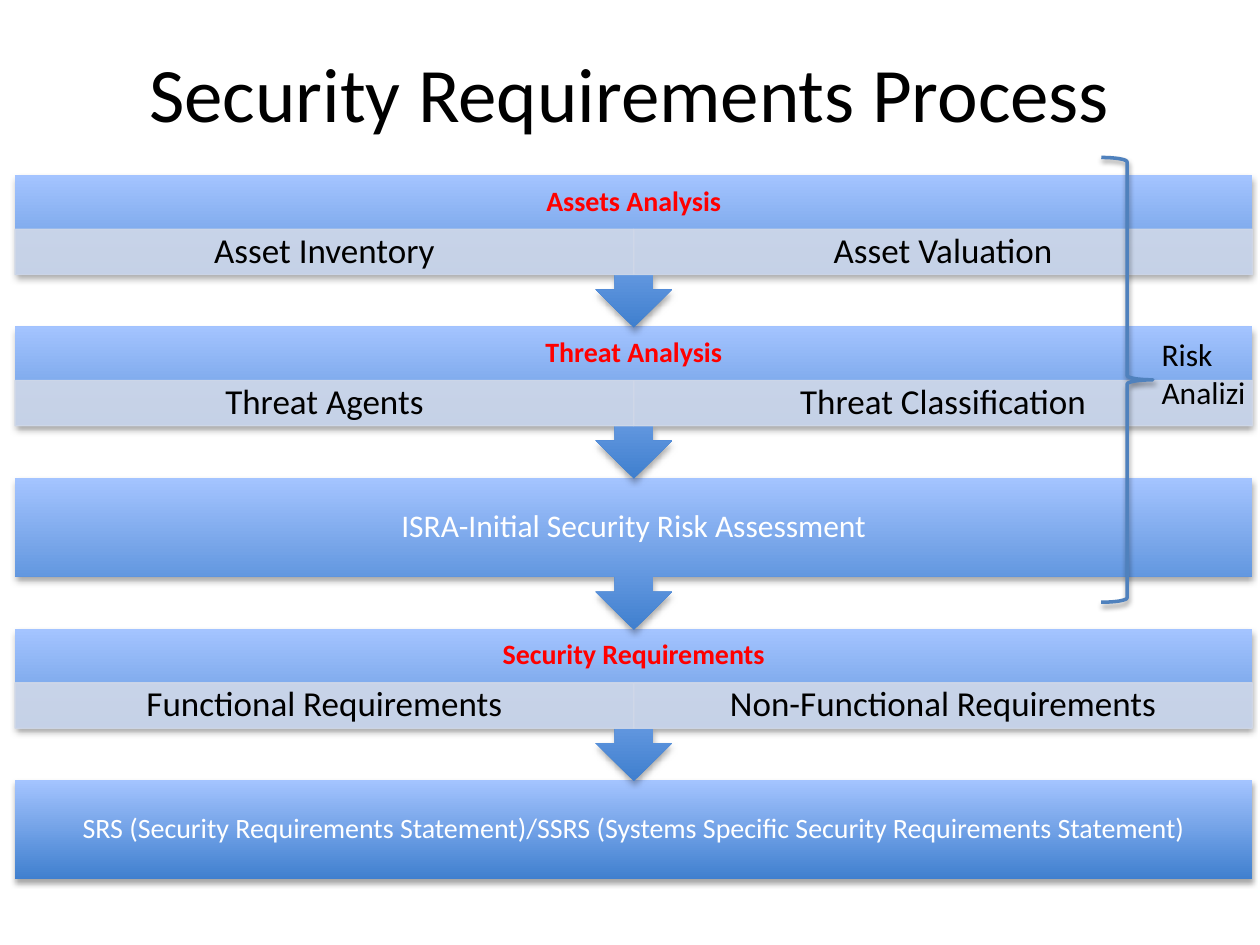
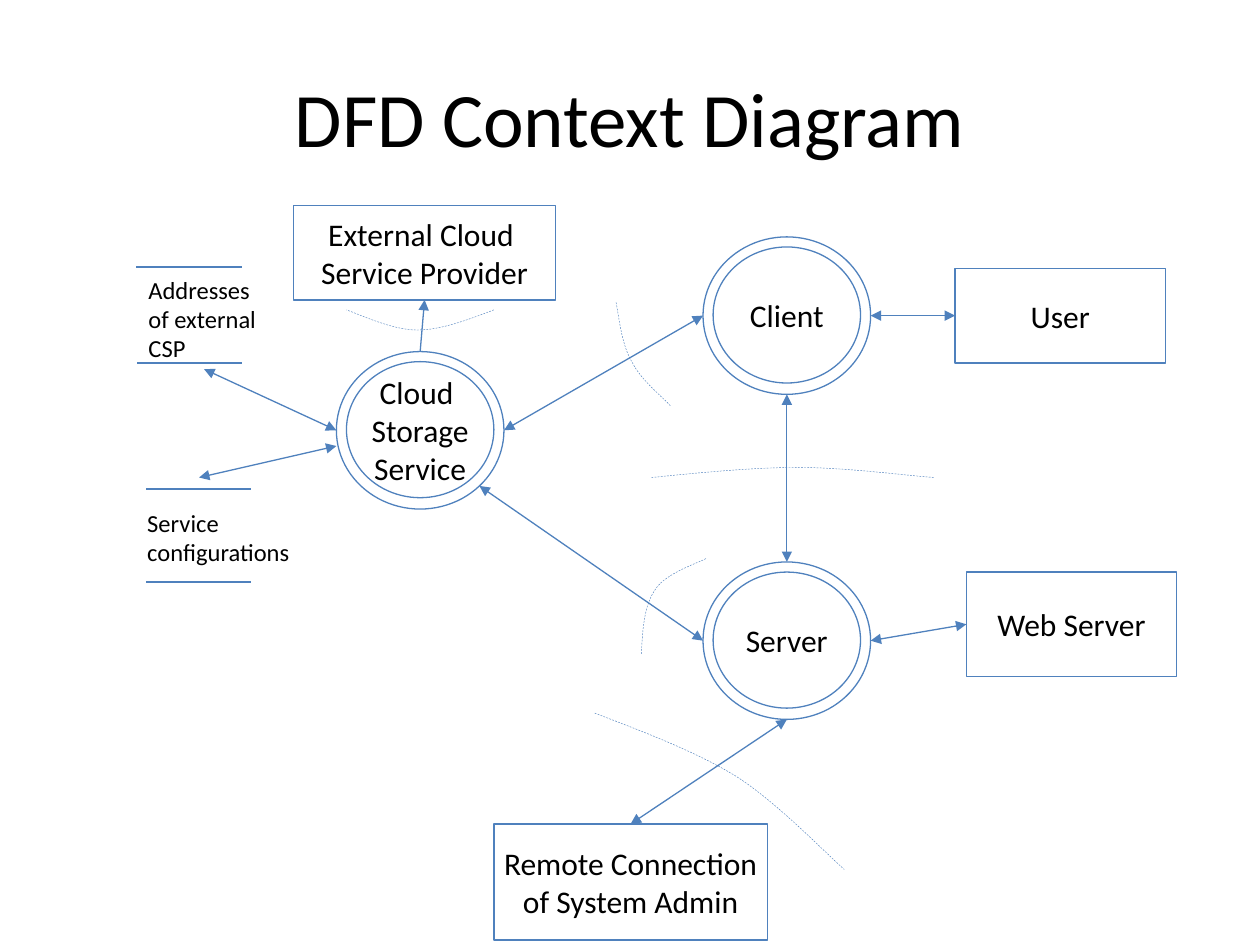
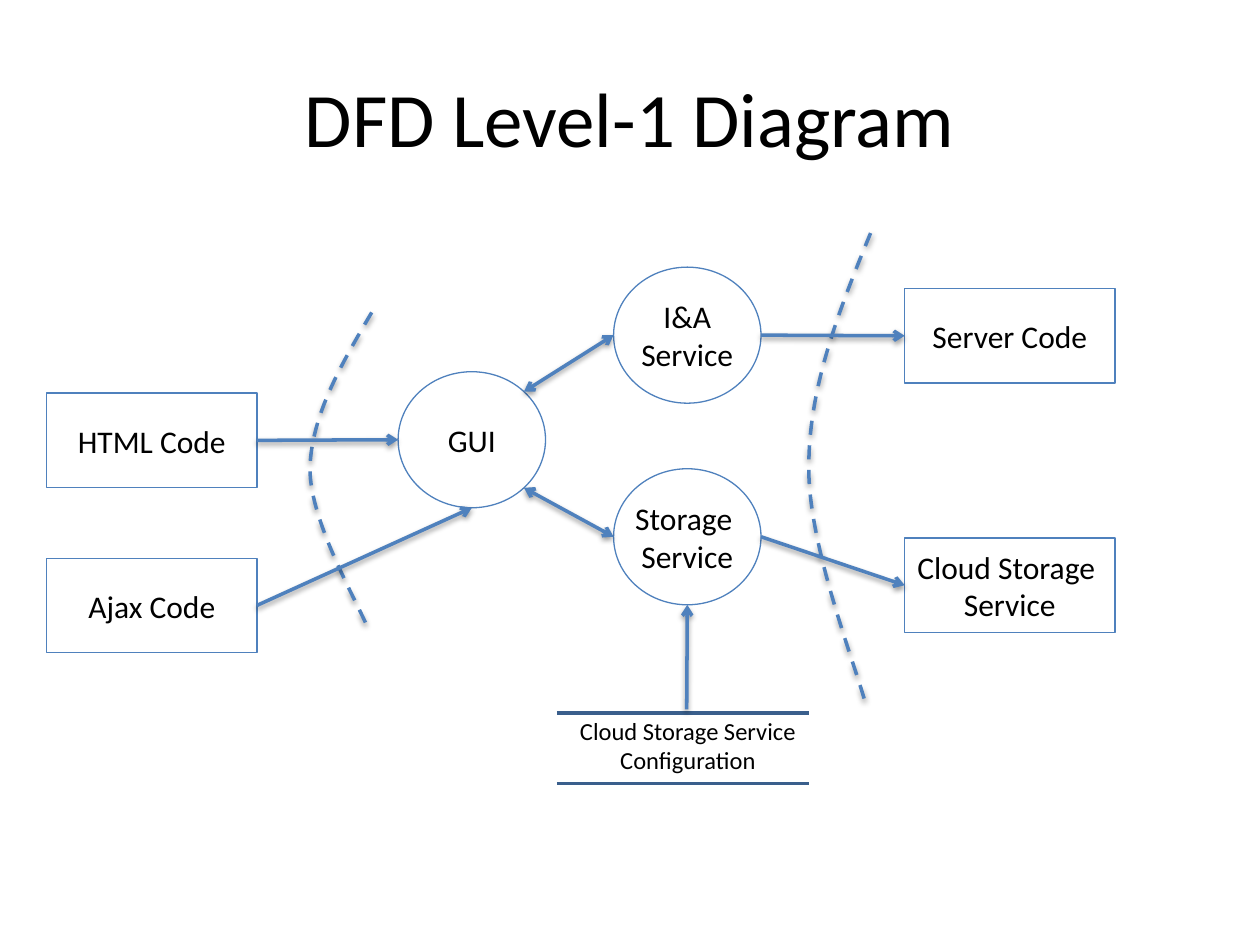
from dataclasses import dataclass
from math import cos, radians, sin

from lxml.etree import SubElement
from pptx import Presentation
from pptx.dml.color import RGBColor
from pptx.enum.dml import MSO_LINE
from pptx.enum.shapes import MSO_CONNECTOR, MSO_SHAPE as Kind
from pptx.enum.text import MSO_ANCHOR as Anchor, MSO_AUTO_SIZE as AutoSize, PP_ALIGN as Align
from pptx.oxml.ns import qn
from pptx.util import Emu, Pt

EMU_PER_PX = 9144  # 100 px to the inch
TOP, LEFT, BOTTOM, RIGHT = range(4)


def px(length):
    return Emu(round(length * EMU_PER_PX))


@dataclass(frozen=True)
class Shadow:
    alpha: int
    distance: float
    blur: float = 3.1


@dataclass(frozen=True)
class Stroke:
    color: str
    width: float
    dashed: bool = False
    shadow: Shadow | None = None
    arrow: str = "triangle"


@dataclass(frozen=True)
class Port:
    """The middle of one side of a rectangle."""
    shape: object
    side: int


@dataclass(frozen=True)
class Theme:
    font: str = "Calibri"
    black: str = "000000"
    white: str = "FFFFFF"
    red: str = "FF0000"
    blue: str = "4F81BD"
    navy: str = "3A5F8C"
    pale: str = "D0D8E8"
    gradient: tuple = ("3F7FCE", "A4C4FF")
    title_size: int = 44
    detail_size: int = 20
    body_size: int = 18
    small_size: int = 16
    store_size: int = 14


THEME = Theme()
SOFT = Shadow(38, 1.6)
BAND_SHADOW = Shadow(35, 1.8)
THIN = Stroke(THEME.blue, 0.75)
WHITE_EDGE = Stroke(THEME.white, 0.75)
PALE_EDGE = Stroke(THEME.pale, 0.75)
THIN_DASH = Stroke(THEME.blue, 0.25, dashed=True)
BOLD = Stroke(THEME.blue, 2, shadow=SOFT, arrow="arrow")
BOLD_DASH = Stroke(THEME.blue, 2, dashed=True, shadow=SOFT)
STORE_BAR = Stroke(THEME.navy, 2)


def write(shape, text, *, size=THEME.body_size, color=THEME.black, bold=False,
          align=Align.CENTER, anchor=Anchor.MIDDLE, wrap=False, grow=False,
          insets=(10, 5), spacing=None):
    """Fill a shape with text: \\n starts a paragraph, \\v breaks a line."""
    frame = shape.text_frame
    frame.word_wrap = wrap
    frame.vertical_anchor = anchor
    frame.auto_size = AutoSize.SHAPE_TO_FIT_TEXT if grow else AutoSize.NONE
    frame.margin_left = frame.margin_right = px(insets[0])
    frame.margin_top = frame.margin_bottom = px(insets[1])
    frame.text = text
    for para in frame.paragraphs:
        para.alignment = align
        if spacing:
            para.line_spacing = spacing
        for span in para.runs:
            font = span.font
            font.name, font.size, font.bold = THEME.font, Pt(size), bold
            font.color.rgb = RGBColor.from_string(color)
        for line_break in para._p.findall(qn("a:br")):
            SubElement(line_break, qn("a:rPr"), sz=str(size * 100))


def rim(oval, degrees):
    """Point on an oval, clockwise from its right end, in px."""
    turn = radians(degrees)
    x = oval.left + oval.width / 2 * (1 + cos(turn))
    y = oval.top + oval.height / 2 * (1 + sin(turn))
    return x / EMU_PER_PX, y / EMU_PER_PX


def bend(curve):
    """Turn each three line segments of a freeform into one Bézier curve."""
    segments = list(curve._element.spPr.iter(qn("a:lnTo")))
    outline = segments[0].getparent()
    for first in range(0, len(segments), 3):
        cubic = SubElement(outline, qn("a:cubicBezTo"))
        for segment in segments[first:first + 3]:
            cubic.append(segment[0])
            outline.remove(segment)


class Painter:
    def __init__(self, deck):
        self.deck = deck
        self.page = None

    def new_page(self, title, top=30):
        self.page = self.deck.slides.add_slide(self.deck.slide_layouts[6])
        self.text((50, top, 900, 125), title, size=THEME.title_size, wrap=True)

    def text(self, box, text, **style):
        label = self.page.shapes.add_textbox(*map(px, box))
        write(label, text, **style)

    def effects(self, shape, shadow):
        holder = SubElement(shape._element.spPr, qn("a:effectLst"))
        if shadow:
            outer = SubElement(holder, qn("a:outerShdw"), blurRad=str(Pt(shadow.blur)),
                               dist=str(Pt(shadow.distance)), dir="5400000", rotWithShape="0")
            color = SubElement(outer, qn("a:srgbClr"), val=THEME.black)
            SubElement(color, qn("a:alpha"), val=str(shadow.alpha * 1000))

    def outline(self, shape, stroke):
        shape.line.color.rgb = RGBColor.from_string(stroke.color)
        shape.line.width = Pt(stroke.width)
        if stroke.dashed:
            shape.line.dash_style = MSO_LINE.DASH

    def shape(self, kind, box, stroke=THIN, text=None, **style):
        shape = self.page.shapes.add_shape(kind, *map(px, box))
        shape.fill.background()
        self.outline(shape, stroke)
        self.effects(shape, stroke.shadow)
        if text:
            write(shape, text, **style)
        return shape

    def process(self, box, text):
        return self.shape(Kind.FLOWCHART_PROCESS, box, text=text)

    def circle(self, left, top, text):
        return self.shape(Kind.FLOWCHART_CONNECTOR, (left, top, 117, 108), text=text)

    def ring(self, left, top, text):
        outer = self.shape(Kind.FLOWCHART_CONNECTOR, (left, top, 133, 125))
        self.circle(left + 8, top + 8, text)
        return outer

    def band(self, kind, box, rotation=0):
        band = self.page.shapes.add_shape(kind, *map(px, box))
        band.rotation = rotation
        band.fill.gradient()
        # Dark at the foot of the band, however the shape is turned
        band.fill.gradient_angle = 90 + rotation
        for stop, color, position in zip(band.fill.gradient_stops, THEME.gradient, (0, 1)):
            stop.color.rgb = RGBColor.from_string(color)
            stop.position = position
        band.line.fill.background()
        self.effects(band, BAND_SHADOW)

    def pale_cell(self, box, text):
        cell = self.page.shapes.add_shape(Kind.RECTANGLE, *map(px, box))
        cell.fill.solid()
        cell.fill.fore_color.rgb = RGBColor.from_string(THEME.pale)
        self.outline(cell, PALE_EDGE)
        for color in cell._element.spPr.iter(qn("a:srgbClr")):
            SubElement(color, qn("a:alpha"), val="90000")
        self.effects(cell, None)
        write(cell, text, size=THEME.detail_size, wrap=True, insets=(16, 3), spacing=0.9)

    def line(self, start, end, stroke=THIN, heads=""):
        """Connect points or ports; heads names the arrow ends to draw."""
        points = [(0, 0) if isinstance(stop, Port) else stop for stop in (start, end)]
        line = self.page.shapes.add_connector(
            MSO_CONNECTOR.STRAIGHT, *(px(value) for point in points for value in point))
        if isinstance(start, Port):
            line.begin_connect(start.shape, start.side)
        if isinstance(end, Port):
            line.end_connect(end.shape, end.side)
        self.outline(line, stroke)
        for name in heads.split():
            SubElement(line._element.spPr.find(qn("a:ln")), qn(f"a:{name}End"), type=stroke.arrow)
        self.effects(line, stroke.shadow)

    def store_bars(self, left, right, top, bottom, stroke=THIN):
        for y in (top, bottom):
            self.line((left, y), (right, y), stroke)

    def boundary(self, points, stroke):
        """Trust boundary of two joined curves, given by seven points."""
        start, *rest = [(px(x), px(y)) for x, y in points]
        builder = self.page.shapes.build_freeform(*start)
        builder.add_line_segments(rest, close=False)
        curve = builder.convert_to_shape()
        bend(curve)
        curve.fill.background()
        self.outline(curve, stroke)
        self.effects(curve, stroke.shadow)


def process_page(paint):
    paint.new_page("Security Requirements Process", top=10)
    left, width, pitch, first_top = 12, 982, 120, 139
    stages = [
        ("Assets Analysis", ["Asset Inventory", "Asset Valuation"]),
        ("Threat Analysis", ["Threat Agents", "Threat Classification"]),
        ("ISRA-Initial Security Risk Assessment", []),
        ("Security Requirements", ["Functional Requirements", "Non-Functional Requirements"]),
        ("SRS (Security Requirements Statement)/SSRS "
         "(Systems Specific Security Requirements Statement)", []),
    ]
    last = len(stages) - 1
    # Lowest stage first, so that each arrow lies over the next band
    for index, (heading, details) in reversed(list(enumerate(stages))):
        top = first_top + index * pitch
        if index == last:
            paint.band(Kind.RECTANGLE, (left, top, width, 79))
        else:
            paint.band(Kind.UP_ARROW_CALLOUT, (left, top, width, 121), rotation=180)
        paint.text((left, top, width, 43 if details else 79), heading,
                   size=THEME.small_size if details or index == last else THEME.body_size,
                   color=THEME.red if details else THEME.white, bold=bool(details),
                   wrap=True, insets=(12, 12), spacing=0.9)
        for column, detail in enumerate(details):
            paint.pale_cell((left + column * width / 2, top + 43, width / 2, 36), detail)
    # Risk bracket
    paint.shape(Kind.RIGHT_BRACE, (874, 125, 41, 353), BOLD)
    paint.text((912, 261, 88, 71), "Risk\nAnalizi", align=Align.LEFT,
               anchor=Anchor.TOP, grow=True)


def context_page(paint):
    paint.new_page("DFD Context Diagram")
    storage = paint.ring(267, 279, "Cloud \vStorage\vService")
    # Data stores
    paint.store_bars(108, 192, 212, 288)
    paint.store_bars(116, 199, 388, 462)
    for box, text in [((108, 213, 107, 81), "Addresses \vof external\nCSP"),
                      ((107, 398, 135, 57), "Service \vconfigurations")]:
        paint.shape(Kind.RECTANGLE, box, WHITE_EDGE, text, size=THEME.store_size,
                    align=Align.LEFT, anchor=Anchor.TOP, grow=True)
    # Processes and outside parties
    server = paint.ring(558, 446, "Server")
    client = paint.ring(558, 188, "Client")
    user = paint.process((758, 213, 167, 75), "User")
    web_server = paint.process((767, 454, 167, 83), "Web Server")
    admin = paint.process((392, 654, 217, 92), "Remote Connection\vof System Admin")
    provider = paint.process((233, 163, 208, 75), "External Cloud \vService Provider")
    # Data flows
    paint.line(rim(storage, 270), Port(provider, BOTTOM), heads="tail")
    for start, end in [
        (rim(storage, 0), rim(client, 180)),
        (rim(storage, 180), (162, 293)),
        ((158, 379), (267, 354)),
        (Port(admin, TOP), rim(server, 90)),
        (rim(client, 0), Port(user, LEFT)),
        (rim(server, 0), Port(web_server, LEFT)),
        (rim(storage, 45), rim(server, 180)),
        (rim(client, 90), rim(server, 270)),
    ]:
        paint.line(start, end, heads="head tail")
    # Trust boundaries
    for points in [
        [(517, 379), (557, 375), (597, 371), (634, 371), (672, 371), (724, 378), (742, 379)],
        [(472, 566), (511, 581), (551, 596), (584, 616), (617, 637), (655, 677), (670, 690)],
        [(392, 246), (371, 254), (350, 262), (331, 262), (311, 262), (284, 249), (275, 246)],
        [(509, 519), (510, 500), (511, 481), (520, 468), (528, 455), (554, 447), (561, 443)],
        [(489, 240), (492, 257), (494, 275), (502, 288), (509, 302), (527, 316), (532, 322)],
    ]:
        paint.boundary(points, THIN_DASH)


def level_one_page(paint):
    paint.new_page("DFD Level-1 Diagram")
    # Processes
    access = paint.circle(487, 212, "I&A\vService")
    storage = paint.circle(487, 372, "Storage \vService")
    gui = paint.circle(316, 295, "GUI")
    # Code and cloud boxes
    html, ajax, server, cloud = [
        paint.process((left, top, 167, 75), text) for left, top, text in [
            (37, 312, "HTML Code"), (37, 443, "Ajax Code"),
            (718, 229, "Server Code"), (718, 427, "Cloud Storage \vService")]]
    # Trust boundaries
    for points in [
        [(295, 248), (271, 289), (247, 330), (246, 372), (246, 415), (285, 480), (293, 501)],
        [(691, 185), (666, 246), (642, 307), (642, 370), (641, 433), (680, 530), (688, 562)],
    ]:
        paint.boundary(points, BOLD_DASH)
    # Configuration store
    paint.store_bars(442, 642, 566, 622, STORE_BAR)
    paint.text((223, 563, 646, 57), "Cloud Storage Service\vConfiguration",
               size=THEME.store_size, anchor=Anchor.TOP, wrap=True, grow=True)
    # Data flows
    for start, end, heads in [
        (rim(gui, 315), rim(access, 180), "head tail"),
        (rim(gui, 45), rim(storage, 180), "head tail"),
        (Port(html, RIGHT), rim(gui, 180), "tail"),
        (Port(ajax, RIGHT), rim(gui, 90), "tail"),
        (rim(access, 0), Port(server, LEFT), "tail"),
        (rim(storage, 0), Port(cloud, LEFT), "tail"),
        ((545, 563), rim(storage, 90), "tail"),
    ]:
        paint.line(start, end, BOLD, heads)


def main():
    deck = Presentation()
    deck.slide_width, deck.slide_height = px(1000), px(750)
    paint = Painter(deck)
    for build in (process_page, context_page, level_one_page):
        build(paint)
    deck.save("out.pptx")


if __name__ == "__main__":
    main()
